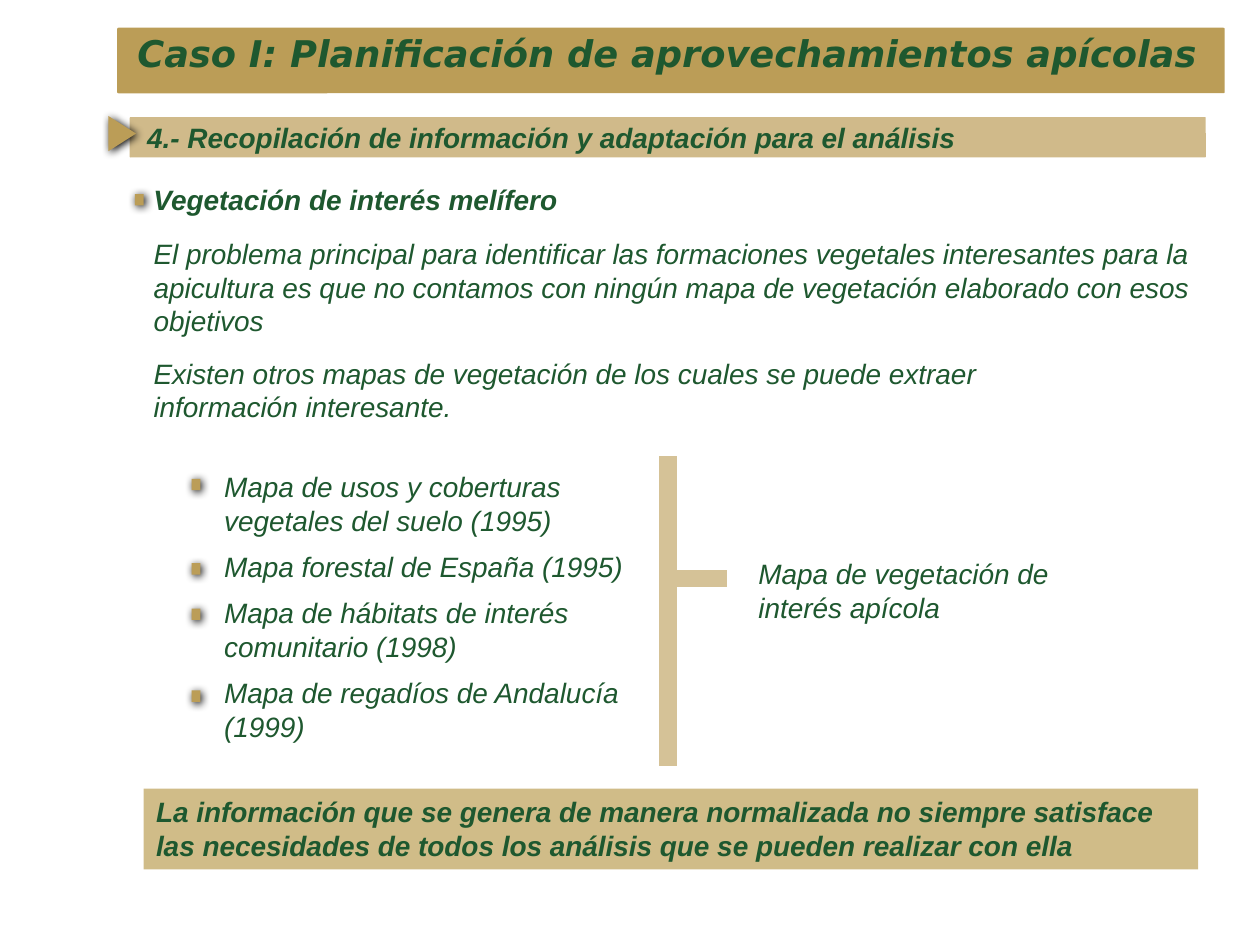
import pptx
import pptx.dml.color
import pptx.enum.shapes
import pptx.enum.text
import pptx.oxml
import pptx.oxml.ns
import pptx.util
from pptx.util import Inches

COLORS = {"text": "1E582F", "gold": "BB9D57", "section": "D0BA8A", "note": "D0BC88", "bracket": "D5C297"}
SHAPES = pptx.enum.shapes.MSO_SHAPE
SHADOW = (
    f'<a:effectLst {pptx.oxml.ns.nsdecls("a")}>'
    '<a:outerShdw blurRad="63500" dist="17780" dir="2700000" algn="ctr" rotWithShape="0">'
    '<a:srgbClr val="000000"/></a:outerShdw></a:effectLst>'
)

deck = pptx.Presentation()
deck.slide_width, deck.slide_height = Inches(10), Inches(7.5)
page = deck.slides.add_slide(deck.slide_layouts[5])


def write(box, lines, bold=False, size=16, font="Arial"):
    frame = box.text_frame
    frame.text = "\n".join(lines)
    frame.word_wrap = True
    frame.auto_size = pptx.enum.text.MSO_AUTO_SIZE.NONE
    frame.vertical_anchor = pptx.enum.text.MSO_ANCHOR.TOP
    for index, para in enumerate(frame.paragraphs):
        para.alignment = pptx.enum.text.PP_ALIGN.LEFT
        para.space_before = pptx.util.Pt(7.2 if index else 0)
        for span in para.runs:
            span.font.name = font
            span.font.size = pptx.util.Pt(size)
            span.font.bold = bold
            span.font.italic = True
            span.font.color.rgb = pptx.dml.color.RGBColor.from_string(COLORS["text"])


def add_block(kind, place, color, rotation=0, shadow=False):
    block = page.shapes.add_shape(kind, *map(Inches, place))
    block.fill.solid()
    block.fill.fore_color.rgb = pptx.dml.color.RGBColor.from_string(COLORS[color])
    block.line.fill.background()
    block.rotation = rotation
    if shadow:
        block._element.spPr.append(pptx.oxml.parse_xml(SHADOW))
    else:
        block.shadow.inherit = False
    return block


title_bar = add_block(SHAPES.ROUNDED_RECTANGLE, (0.93, 0.22, 8.79, 0.52), "gold")
title_bar.adjustments[0] = 0.02
title = page.shapes.title
title._element.addprevious(title_bar._element)
title.left, title.top, title.width, title.height = map(Inches, (0.99, 0.19, 8.63, 0.45))
write(title, ["Caso I: Planificación de aprovechamientos apícolas"], bold=True, size=21, font="DejaVu Sans")

section_bar = add_block(SHAPES.ROUNDED_RECTANGLE, (1.03, 0.93, 8.54, 0.32), "section")
section_bar.adjustments[0] = 0.02
add_block(SHAPES.ISOSCELES_TRIANGLE, (0.83, 0.95, 0.28, 0.22), "gold", rotation=90, shadow=True)

texts = [
    ((1.07, 0.91, 6.64, 0.37), True, ["4.- Recopilación de información y adaptación para el análisis"]),
    ((1.12, 1.4, 3.43, 0.37), True, ["Vegetación de interés melífero"]),
    ((1.12, 1.83, 8.52, 0.9), False, [
        "El problema principal para identificar las formaciones vegetales interesantes para la "
        "apicultura es que no contamos con ningún mapa de vegetación elaborado con esos objetivos"]),
    ((1.12, 2.78, 7.82, 0.64), False, [
        "Existen otros mapas de vegetación de los cuales se puede extraer información interesante."]),
    ((1.68, 3.68, 3.81, 2.72), False, [
        "Mapa de usos y coberturas vegetales del suelo (1995)",
        "Mapa forestal de España (1995)",
        "Mapa de hábitats de interés comunitario (1998)",
        "Mapa de regadíos de Andalucía (1999)"]),
    ((5.92, 4.37, 2.72, 0.64), False, ["Mapa de vegetación de interés apícola"]),
]
for place, bold, lines in texts:
    write(page.shapes.add_textbox(*map(Inches, place)), lines, bold)

for left, top in [(1.06, 1.55), (1.51, 3.81), (1.51, 4.48), (1.51, 4.84), (1.51, 5.49)]:
    add_block(SHAPES.RECTANGLE, (left, top, 0.09, 0.07), "gold", rotation=90, shadow=True)

for ends in [(5.3, 3.62, 5.3, 6.08), (5.31, 4.59, 5.77, 4.59)]:
    bracket = page.shapes.add_connector(pptx.enum.shapes.MSO_CONNECTOR.STRAIGHT, *map(Inches, ends))
    bracket.line.width = pptx.util.Pt(10)
    bracket.line.color.rgb = pptx.dml.color.RGBColor.from_string(COLORS["bracket"])
    bracket._element.spPr.append(pptx.oxml.parse_xml(f'<a:effectLst {pptx.oxml.ns.nsdecls("a")}/>'))

note = add_block(SHAPES.RECTANGLE, (1.14, 6.26, 8.37, 0.64), "note")
write(note, [
    "La información que se genera de manera normalizada no siempre satisface "
    "las necesidades de todos los análisis que se pueden realizar con ella"], bold=True)

deck.save("out.pptx")
